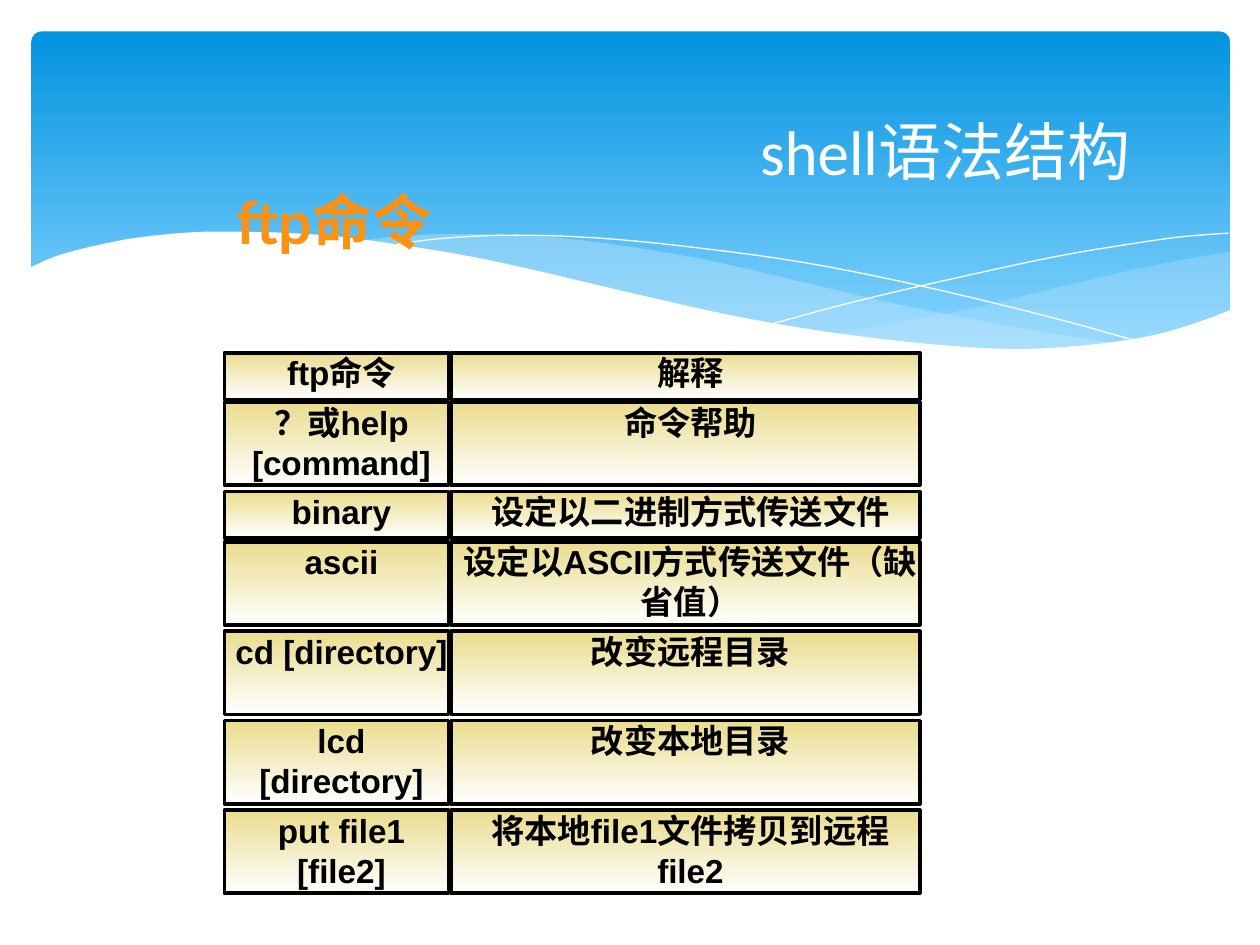
from lxml.etree import SubElement
from pptx import Presentation
from pptx.dml.color import RGBColor as RGB
from pptx.enum.shapes import MSO_SHAPE as Preset
from pptx.enum.text import MSO_ANCHOR as Anchor, PP_ALIGN as Align
from pptx.oxml.ns import qn
from pptx.util import Pt

PX = 9144
COLORS = {
    "sky": "0293E0", "horizon": "83D3FE", "mist": "C6E7FC", "white": "FFFFFF",
    "orange": "FB9214", "sand": "EADC8E", "ink": "000000",
}

RIGHT_MIST_TOP = [(975, 200), (935, 207), (891, 216), (832, 230), (779, 243),
                  (729, 253), (661, 265)]
RIGHT_MIST_BOTTOM = [(661, 265), (705, 271), (745, 275), (792, 277), (835, 277),
                     (872, 274), (905, 269), (935, 262), (963, 252), (976, 247)]
LONG_MIST_TOP = [(893, 273), (837, 265), (775, 254), (706, 240), (629, 222),
                 (569, 208), (514, 198), (464, 191), (420, 187), (380, 186),
                 (344, 186), (313, 188), (286, 191)]
LONG_MIST_BOTTOM = [(286, 191), (342, 199), (404, 211), (449, 222), (530, 240),
                    (601, 255), (665, 266), (722, 274), (773, 278), (818, 279),
                    (857, 277), (893, 273)]
FALLING_LINE = [(309, 195), (343, 190), (387, 187), (433, 187), (489, 190),
                (556, 197), (636, 208), (727, 226), (831, 251), (907, 272)]
RISING_LINE = [(613, 257), (672, 241), (748, 223), (836, 204), (895, 194),
               (937, 188), (975, 185)]
WHITE_WAVE = [(977, 246), (950, 256), (920, 265), (887, 271), (850, 275), (809, 277),
              (761, 275), (708, 270), (647, 262), (579, 250), (503, 233), (418, 213),
              (365, 202), (315, 194), (271, 188), (230, 185), (193, 184), (161, 184),
              (132, 186), (106, 189), (85, 193), (67, 197), (52, 201), (40, 205),
              (29, 210), (23, 213)]
WAVE_BASE = [(23, 329), (977, 329)]

COLUMNS = [(178, 178), (358, 372)]
ONE_LINE, TWO_LINES = 37, 66
COMMANDS = [
    (280, ONE_LINE, "ftp命令", "解释"),
    (319, TWO_LINES, "？或help [command]", "命令帮助"),
    (390, ONE_LINE, "binary", "设定以二进制方式传送文件"),
    (430, TWO_LINES, "ascii", "设定以ASCII方式传送文件（缺省值）"),
    (501, TWO_LINES, "cd [directory]", "改变远程目录"),
    (572, TWO_LINES, "lcd [directory]", "改变本地目录"),
    (643, TWO_LINES, "put file1 [file2]", "将本地file1文件拷贝到远程file2"),
]


def color(name):
    return RGB.from_string(COLORS[name])


def smooth_curve(knots, steps=4):
    padded = [knots[0], *knots, knots[-1]]
    curve = [knots[0]]
    for a, b, c, d in zip(padded, padded[1:], padded[2:], padded[3:]):
        for step in range(1, steps + 1):
            t = step / steps
            curve.append(tuple(
                q + t * (r - p) / 2
                + t * t * (2 * p - 5 * q + 4 * r - s) / 2
                + t ** 3 * (3 * q - p - 3 * r + s) / 2
                for p, q, r, s in zip(a, b, c, d)))
    return curve


def write(shape, words, *, size, font, ink, bold=False, align=Align.LEFT,
          anchor=Anchor.TOP, indent=0):
    frame = shape.text_frame
    frame.word_wrap = True
    frame.vertical_anchor = anchor
    frame.margin_left = frame.margin_right = frame.margin_top = frame.margin_bottom = 0
    line = frame.paragraphs[0]
    line.alignment = align
    properties = line._p.get_or_add_pPr()
    properties.set("marL", str(indent * PX))
    properties.set("indent", "0")
    run = line.add_run()
    run.text = words
    run.font.size, run.font.name, run.font.bold = Pt(size), font, bold
    run.font.color.rgb = color(ink)


class FtpSlide:
    def __init__(self, deck):
        self.shapes = deck.slides.add_slide(deck.slide_layouts[6]).shapes

    def gradient_box(self, preset, box, top_color, bottom_color, end=1.0, border=None):
        panel = self.shapes.add_shape(preset, *(length * PX for length in box))
        panel.shadow.inherit = False
        panel.fill.gradient()
        panel.fill.gradient_angle = 270
        stops = panel.fill.gradient_stops
        for stop, name, position in zip(stops, (top_color, bottom_color), (0, end)):
            stop.color.rgb = color(name)
            stop.position = position
        if border:
            panel.line.color.rgb = color(border)
            panel.line.width = Pt(2)
        else:
            panel.line.fill.background()
        return panel

    def outline(self, points, closed):
        (x, y), *rest = [(round(x * PX), round(y * PX)) for x, y in points]
        builder = self.shapes.build_freeform(x, y)
        builder.add_line_segments(rest, close=closed)
        form = builder.convert_to_shape()
        form.shadow.inherit = False
        return form

    def wave(self, points, name, opacity=100):
        form = self.outline(points, True)
        form.fill.solid()
        form.fill.fore_color.rgb = color(name)
        form.line.fill.background()
        if opacity < 100:
            tint = form._element.spPr.find(qn("a:solidFill"))[0]
            SubElement(tint, qn("a:alpha")).set("val", str(opacity * 1000))

    def hairline(self, knots):
        form = self.outline(smooth_curve(knots), False)
        form.fill.background()
        form.line.color.rgb = color("white")
        form.line.width = 0

    def heading(self, box, words, **style):
        label = self.shapes.add_textbox(*(length * PX for length in box))
        write(label, words, **style)

    def cell(self, box, words):
        panel = self.gradient_box(Preset.RECTANGLE, box, "sand", "white", border="ink")
        write(panel, words, size=19, font="Arial", ink="ink", bold=True,
              align=Align.CENTER, indent=8)


def main():
    deck = Presentation()
    deck.slide_width, deck.slide_height = 1000 * PX, 750 * PX
    slide = FtpSlide(deck)

    banner = slide.gradient_box(Preset.ROUNDED_RECTANGLE, (25, 25, 951, 270),
                                "sky", "horizon", end=0.9)
    banner.adjustments[0] = 0.03
    slide.wave(smooth_curve(RIGHT_MIST_TOP) + smooth_curve(RIGHT_MIST_BOTTOM)
               + [(976, 200)], "mist", 29)
    slide.wave(smooth_curve(LONG_MIST_TOP) + smooth_curve(LONG_MIST_BOTTOM), "mist", 40)
    slide.hairline(FALLING_LINE)
    slide.hairline(RISING_LINE)
    slide.wave(smooth_curve(WHITE_WAVE) + WAVE_BASE, "white")

    slide.heading((539, 84, 411, 71), "shell语法结构", size=36, font="Calibri",
                  ink="white", align=Align.CENTER, anchor=Anchor.MIDDLE, indent=11)
    slide.heading((177, 147, 378, 57), "ftp命令", size=34, font="Lato",
                  ink="orange", bold=True, indent=11)

    for top, height, *entries in COMMANDS:
        for (left, width), words in zip(COLUMNS, entries):
            slide.cell((left, top, width, height), words)

    deck.save("out.pptx")


if __name__ == "__main__":
    main()
